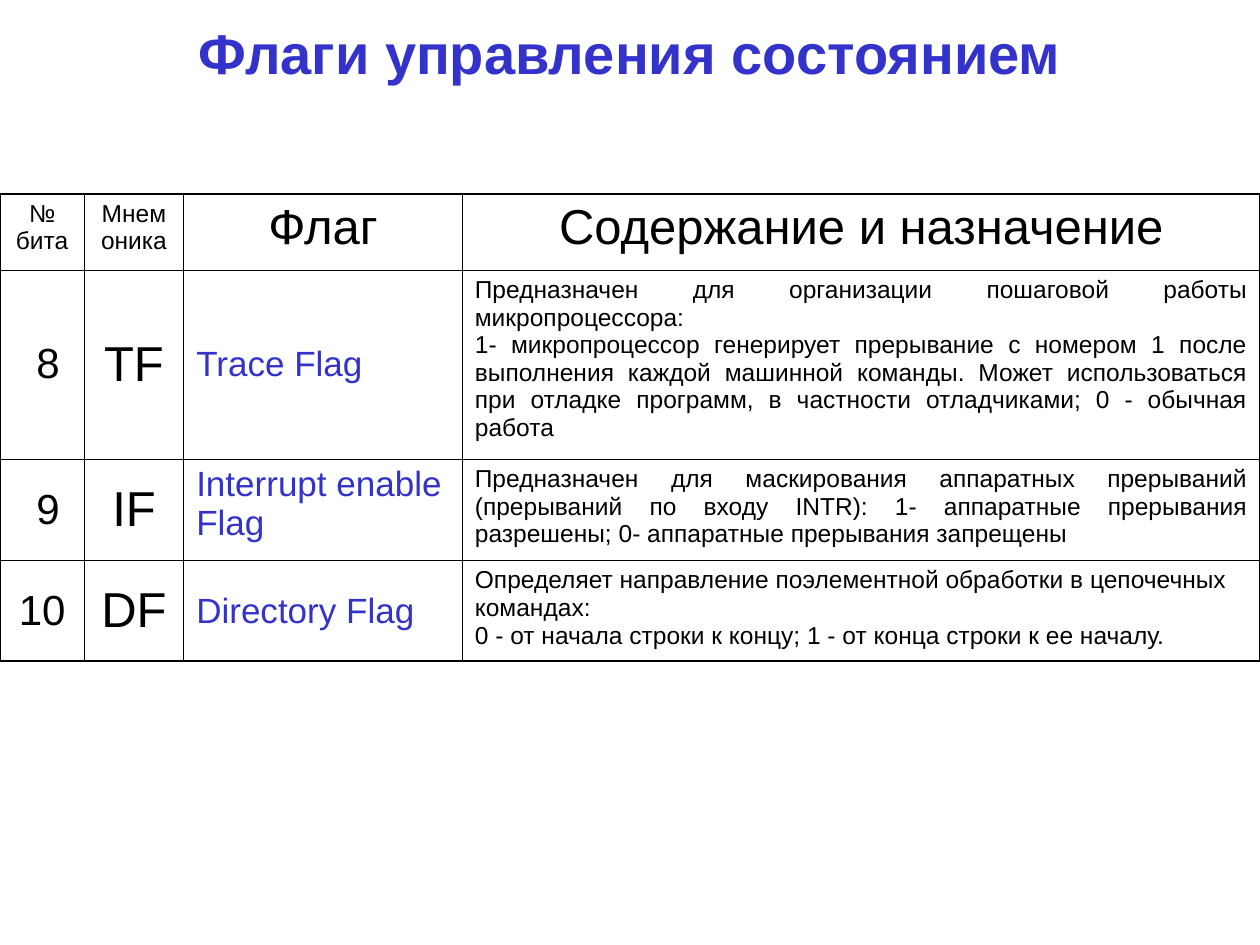
from copy import deepcopy

from lxml import etree
from pptx import Presentation
from pptx import util as u
from pptx.dml import color
from pptx.enum import text
from pptx.oxml import ns

COLORS = {"accent": "3333CC", "ink": "000000"}
CENTER, LEFT, JUSTIFY = (
    text.PP_ALIGN.CENTER, text.PP_ALIGN.LEFT, text.PP_ALIGN.JUSTIFY
)
TOP, MIDDLE = text.MSO_ANCHOR.TOP, text.MSO_ANCHOR.MIDDLE

COLUMN_WIDTHS = [48.2, 56.8, 159.2, 455.8]
ROW_HEIGHTS = [43.5, 108, 58, 57.6]

HEADERS = [("№ бита", 14), ("Мнемоника", 14), ("Флаг", 28),
           ("Содержание и назначение", 28)]
FLAGS = [
    (" 8", "TF", "Trace Flag", MIDDLE,
     "Предназначен для организации пошаговой работы микропроцессора:\n"
     "1- микропроцессор генерирует прерывание с номером 1 после выполнения "
     "каждой машинной команды. Может использоваться при отладке программ, "
     "в частности отладчиками; 0 - обычная работа", JUSTIFY),
    (" 9", "IF", "Interrupt enable Flag", TOP,
     "Предназначен для маскирования аппаратных прерываний (прерываний по "
     "входу INTR): 1- аппаратные прерывания разрешены; 0- аппаратные "
     "прерывания запрещены", JUSTIFY),
    ("10", "DF", "Directory Flag", MIDDLE,
     "Определяет направление поэлементной обработки в цепочечных командах: \n"
     "0 - от начала строки к концу; 1 - от конца строки к ее началу.", LEFT),
]


class SlideBuilder:
    font_name = "Arial"
    outer_line = 1.08
    inner_line = 0.45

    def __init__(self, presentation):
        self.slide = presentation.slides.add_slide(presentation.slide_layouts[5])

    def fill_paragraph(self, paragraph, content, size, tone="ink", align=CENTER,
                       bold=False, space_before=0):
        paragraph.text = content.replace("\n", "\v")
        layout = {"alignment": align, "space_before": u.Pt(space_before)}
        for name, value in layout.items():
            setattr(paragraph, name, value)
        style = {"name": self.font_name, "size": u.Pt(size), "bold": bold}
        for run in paragraph.runs:
            for name, value in style.items():
                setattr(run.font, name, value)
            run.font.color.rgb = color.RGBColor.from_string(COLORS[tone])
        for line_break in paragraph._p.findall(ns.qn("a:br")):
            line_break.insert(0, deepcopy(paragraph.runs[0]._r.rPr))

    def title(self, content, left, top, width, height):
        shape = self.slide.shapes.title
        box = {"left": left, "top": top, "width": width, "height": height}
        for name, value in box.items():
            setattr(shape, name, u.Pt(value))
        frame = shape.text_frame
        frame.word_wrap = True
        frame.vertical_anchor = MIDDLE
        frame.auto_size = text.MSO_AUTO_SIZE.NONE
        self.fill_paragraph(frame.paragraphs[0], content, 32, "accent", bold=True)

    def table(self, left, top, widths, heights):
        frame = self.slide.shapes.add_table(
            len(heights), len(widths), u.Pt(left), u.Pt(top),
            u.Pt(sum(widths)), u.Pt(sum(heights)))
        table = frame.table
        table.first_row = table.horz_banding = False
        for column, width in zip(table.columns, widths):
            column.width = u.Pt(width)
        for row, height in zip(table.rows, heights):
            row.height = u.Pt(height)
        last_row, last_column = len(heights) - 1, len(widths) - 1
        for row in range(len(heights)):
            for column in range(len(widths)):
                edges = {"lnL": column == 0, "lnR": column == last_column,
                         "lnT": row == 0, "lnB": row == last_row}
                self.borders(table.cell(row, column), edges)
        return table

    def borders(self, cell, edges):
        cell.fill.background()
        properties = cell._tc.get_or_add_tcPr()
        for index, (tag, outer) in enumerate(edges.items()):
            width = u.Pt(self.outer_line if outer else self.inner_line)
            line = etree.Element(ns.qn(f"a:{tag}"), w=str(width))
            fill = etree.SubElement(line, ns.qn("a:solidFill"))
            etree.SubElement(fill, ns.qn("a:srgbClr"), val=COLORS["ink"])
            properties.insert(index, line)

    def cell(self, cell, content, size, anchor=MIDDLE, **style):
        cell.vertical_anchor = anchor
        self.fill_paragraph(cell.text_frame.paragraphs[0], content, size,
                            space_before=size / 4, **style)


def main():
    presentation = Presentation()
    presentation.slide_width, presentation.slide_height = u.Pt(720), u.Pt(540)
    builder = SlideBuilder(presentation)
    builder.title("Флаги управления состоянием", 54, 6, 612, 48)
    table = builder.table(0, 110.75, COLUMN_WIDTHS, ROW_HEIGHTS)
    for column, (header, size) in enumerate(HEADERS):
        builder.cell(table.cell(0, column), header, size, TOP)
    for row, flag in enumerate(FLAGS, start=1):
        bit, mnemonic, name, name_anchor, purpose, purpose_align = flag
        builder.cell(table.cell(row, 0), bit, 24)
        builder.cell(table.cell(row, 1), mnemonic, 28)
        builder.cell(table.cell(row, 2), name, 20, name_anchor,
                     tone="accent", align=LEFT)
        builder.cell(table.cell(row, 3), purpose, 14, TOP, align=purpose_align)
    presentation.save("out.pptx")


if __name__ == "__main__":
    main()
